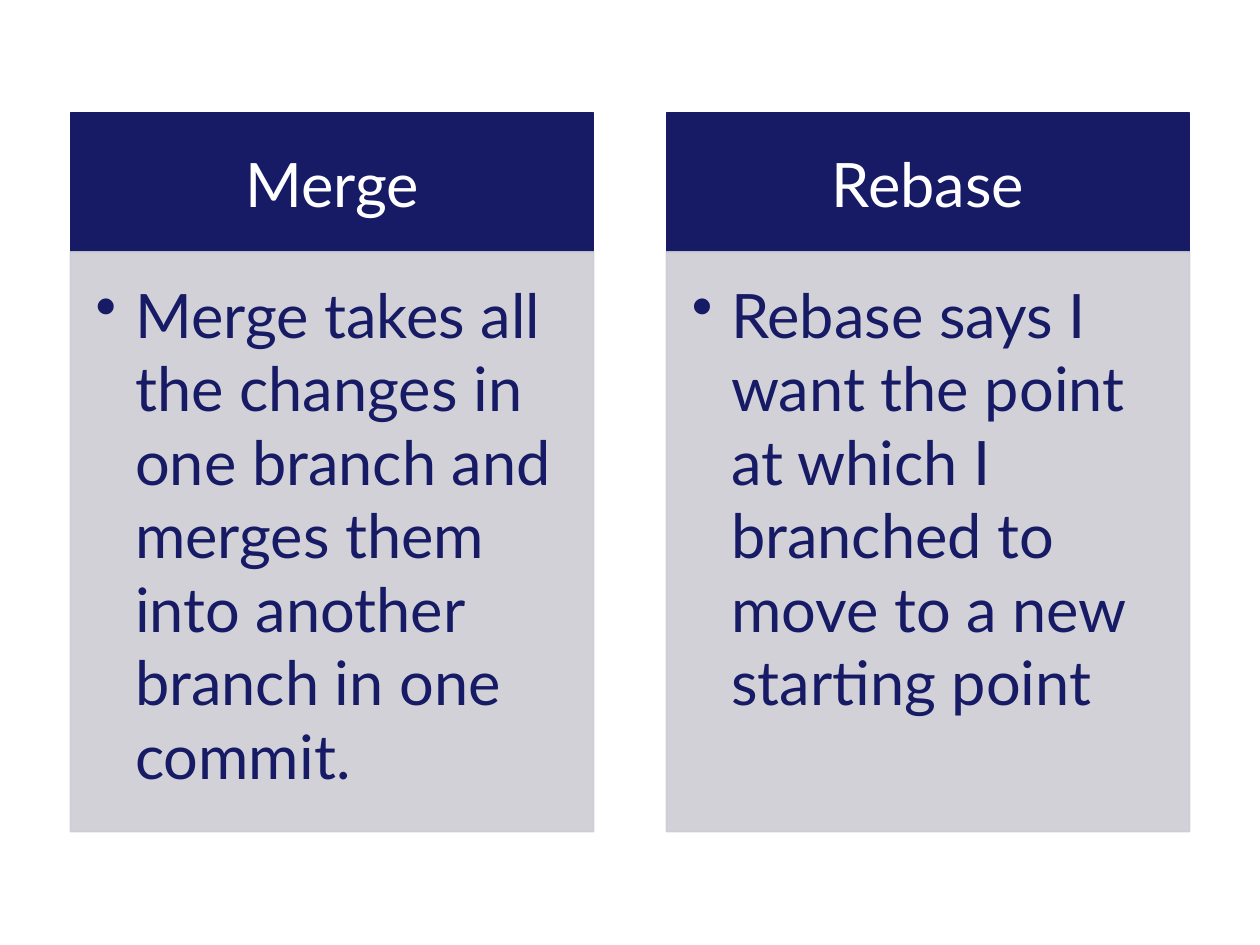
from dataclasses import dataclass

import lxml.etree
import pptx
import pptx.dml.color
import pptx.enum.shapes
import pptx.enum.text
import pptx.oxml.ns
import pptx.util

Pt = pptx.util.Pt
NAVY = "171B65"
GREY = "CCCDD3"
WHITE = "FFFFFF"
LEFT, TOP = 40.3, 64.8
WIDTH, GAP = 298.8, 41.8
HEADER_HEIGHT, BODY_HEIGHT = 79.2, 331.2


@dataclass
class Column:
    heading: str
    detail: str


COLUMNS = [
    Column("Merge", "Merge takes all the changes in one branch and merges them "
                    "into another branch in one commit."),
    Column("Rebase", "Rebase says I want the point at which I branched to move "
                     "to a new starting point"),
]


def color(value: str) -> pptx.dml.color.RGBColor:
    return pptx.dml.color.RGBColor.from_string(value)


def add_child(parent, tag: str, **attributes: str):
    return lxml.etree.SubElement(parent, pptx.oxml.ns.qn(tag), attributes)


def add_panel(page, left: float, top: float, height: float, fill: str, opacity: int = 100):
    panel = page.shapes.add_shape(
        pptx.enum.shapes.MSO_SHAPE.RECTANGLE, Pt(left), Pt(top), Pt(WIDTH), Pt(height))
    panel.shadow.inherit = False
    panel.fill.solid()
    panel.fill.fore_color.rgb = color(fill)
    panel.line.color.rgb = color(fill)
    panel.line.width = Pt(1)
    if opacity < 100:
        for shade in panel.element.spPr.iter(pptx.oxml.ns.qn("a:srgbClr")):
            add_child(shade, "a:alpha", val=str(opacity * 1000))
    return panel


def write_text(box, text: str, *, ink: str, margins: tuple[float, float, float, float],
               anchor: str = "TOP", align: str = "LEFT", bullet_indent: float = 0) -> None:
    frame = box.text_frame
    frame.word_wrap = True
    frame.vertical_anchor = pptx.enum.text.MSO_ANCHOR[anchor]
    frame.margin_left, frame.margin_top, frame.margin_right, frame.margin_bottom = map(Pt, margins)
    para = frame.paragraphs[0]
    para.alignment = pptx.enum.text.PP_ALIGN[align]
    if bullet_indent:
        properties = para._p.get_or_add_pPr()
        properties.set("marL", str(Pt(bullet_indent)))
        properties.set("indent", str(-Pt(bullet_indent)))
        add_child(properties, "a:buChar", char="•")
    span = para.add_run()
    span.text = text
    span.font.name = "Lato"
    span.font.size = Pt(35)
    span.font.color.rgb = color(ink)


def draw_column(page, column: Column, left: float) -> None:
    header = add_panel(page, left, TOP, HEADER_HEIGHT, NAVY)
    write_text(header, column.heading, ink=WHITE, margins=(19.4, 11.5, 19.4, 11.5),
               anchor="MIDDLE", align="CENTER")
    body = add_panel(page, left, TOP + HEADER_HEIGHT, BODY_HEIGHT, GREY, opacity=90)
    write_text(body, column.detail, ink=NAVY, margins=(14.4, 14.4, 19.4, 22.3),
               bullet_indent=22.5)


def main() -> None:
    deck = pptx.Presentation()
    deck.slide_width, deck.slide_height = Pt(720), Pt(540)
    page = deck.slides.add_slide(deck.slide_layouts.get_by_name("Blank"))
    for index, column in enumerate(COLUMNS):
        draw_column(page, column, LEFT + index * (WIDTH + GAP))
    deck.save("out.pptx")


if __name__ == "__main__":
    main()
